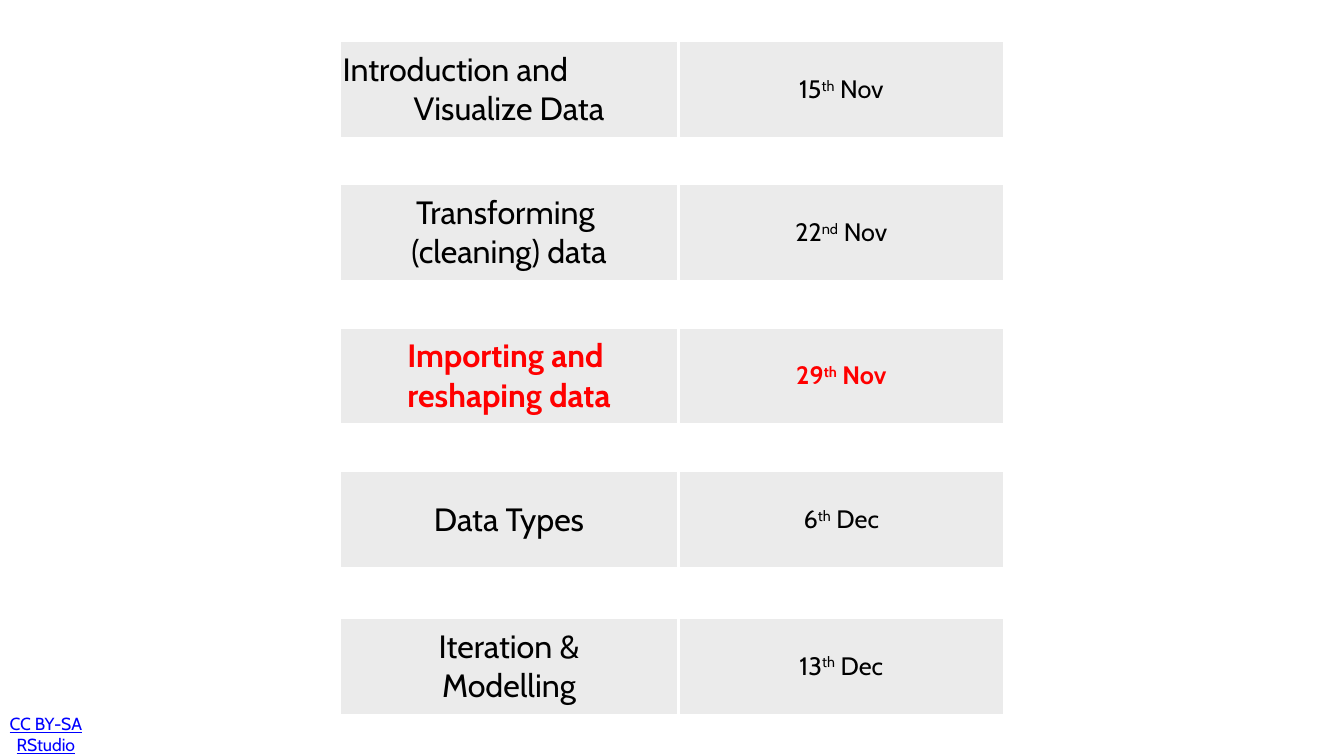
from lxml.etree import SubElement
from pptx import Presentation
from pptx.dml.color import RGBColor
from pptx.enum.text import MSO_ANCHOR as Anchor, PP_ALIGN as Align
from pptx.oxml.ns import qn
from pptx.util import Pt

PX = 9144  # 100 px to the inch
BLACK = RGBColor(0, 0, 0)
RED = RGBColor(255, 0, 0)
BLUE = RGBColor(0, 0, 255)
GREY = RGBColor(0xEB, 0xEB, 0xEB)

# topic lines, day, ordinal ending, month
PLAN = [
    (["Introduction and", "Visualize Data"], "15", "th", "Nov"),
    (["Transforming ", "(cleaning) data"], "22", "nd", "Nov"),
    (["Importing and ", "reshaping data"], "29", "th", "Nov"),
    (["Data Types"], "6", "th", "Dec"),
    (["Iteration &", "Modelling"], "13", "th", "Dec"),
]
TODAY = 2
GAPS = [90, 90, 91, 97]
ROW = 194
COLS = [672, 647]


class Deck:
    font = "Cabin"

    def __init__(self, wide, high):
        self.prs = Presentation()
        self.prs.slide_width, self.prs.slide_height = wide * PX, high * PX
        self.slide = self.prs.slides.add_slide(self.prs.slide_layouts[6])

    def style(self, para, size, color, bold=False):
        para.alignment = Align.CENTER
        font = para.font
        font.name, font.size, font.bold = self.font, Pt(size), bold
        font.color.rgb = color

    def lines(self, frame, texts, size, color, bold=False):
        """Write one centred paragraph per text."""
        for i, text in enumerate(texts):
            para = frame.add_paragraph() if i else frame.paragraphs[0]
            para.add_run().text = text
            self.style(para, size, color, bold)

    def date(self, frame, day, end, month, color, bold):
        para = frame.paragraphs[0]
        for text in (day, end, f" {month}"):
            run = para.add_run()
            run.text = text
            if text == end:
                run.font._element.set("baseline", "30000")
        self.style(para, 36, color, bold)

    def cell(self, cell, fill=None):
        """Set fill, margins and white borders."""
        cell.vertical_anchor = Anchor.MIDDLE
        cell.margin_left = cell.margin_right = 6 * PX
        cell.margin_top = cell.margin_bottom = 6 * PX
        props = cell._tc.get_or_add_tcPr()
        for side in ("a:lnL", "a:lnR", "a:lnT", "a:lnB"):
            line = SubElement(props, qn(side), w=str(Pt(5)))
            paint = SubElement(line, qn("a:solidFill"))
            SubElement(paint, qn("a:srgbClr"), val="FFFFFF")
        if fill is None:
            cell.fill.background()
        else:
            cell.fill.solid()
            cell.fill.fore_color.rgb = fill

    def table(self, x, y, cols, rows):
        frame = self.slide.shapes.add_table(
            len(rows), len(cols), x * PX, y * PX, sum(cols) * PX, sum(rows) * PX)
        table = frame.table
        table.first_row = table.horz_banding = False
        for col, wide in zip(table.columns, cols):
            col.width = wide * PX
        for i, (row, high) in enumerate(zip(table.rows, rows)):
            row.height = high * PX
            for cell in row.cells:
                self.cell(cell, None if i % 2 else GREY)
        return table

    def credit(self, x, y, wide, high, text, room):
        """Write underlined text that wraps in the left part of its box."""
        box = self.slide.shapes.add_textbox(x * PX, y * PX, wide * PX, high * PX)
        frame = box.text_frame
        frame.word_wrap = True
        frame.vertical_anchor = Anchor.MIDDLE
        frame.margin_left = frame.margin_top = frame.margin_bottom = 0
        frame.margin_right = (wide - room) * PX
        self.lines(frame, [text], 25, BLUE)
        frame.paragraphs[0].font.underline = True


def main():
    deck = Deck(2667, 1500)
    deck.credit(12, 1426, 266, 60, "CC BY-SA RStudio", 158)
    rows = [ROW]
    for gap in GAPS:
        rows += [gap, ROW]
    table = deck.table(674, 81, COLS, rows)
    for i, (topic, day, end, month) in enumerate(PLAN):
        now = i == TODAY
        color = RED if now else BLACK
        left, right = table.rows[2 * i].cells
        deck.lines(left.text_frame, topic, 46, color, now)
        deck.date(right.text_frame, day, end, month, color, now)
    table.cell(0, 0).text_frame.paragraphs[0].alignment = Align.LEFT
    deck.prs.save("out.pptx")


if __name__ == "__main__":
    main()
